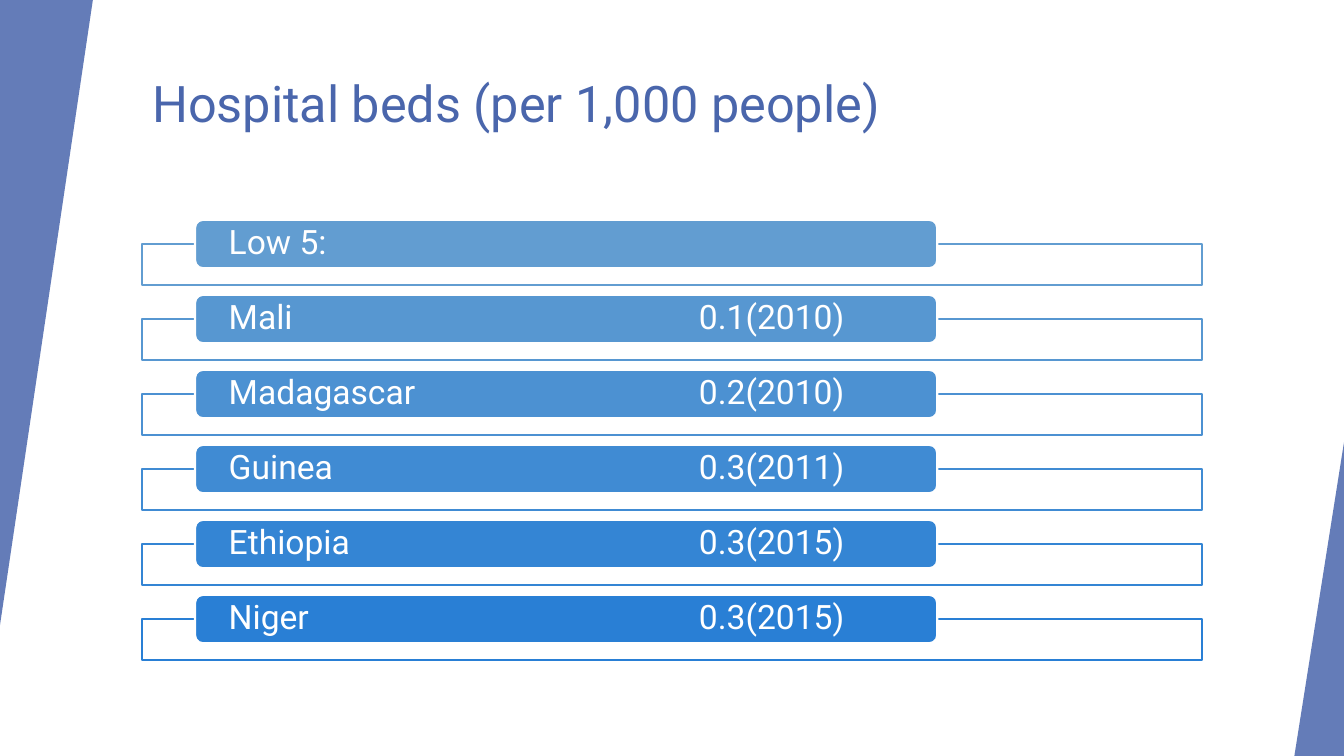
from dataclasses import dataclass

from lxml import etree
from pptx import Presentation
from pptx.dml.color import RGBColor
from pptx.enum.shapes import MSO_SHAPE
from pptx.enum.text import MSO_ANCHOR, PP_ALIGN
from pptx.oxml.ns import qn
from pptx.util import Cm, Pt

TRIANGLE = MSO_SHAPE.ISOSCELES_TRIANGLE
RECTANGLE = MSO_SHAPE.RECTANGLE
ROUNDED = MSO_SHAPE.ROUNDED_RECTANGLE
LEFT = PP_ALIGN.LEFT
TOP = MSO_ANCHOR.TOP
MIDDLE = MSO_ANCHOR.MIDDLE


@dataclass(frozen=True)
class Theme:
    font: str = "Roboto"
    title_size: int = 36
    row_size: int = 24
    line_width: float = 1.5
    accent: str = "4A66AC"
    white: str = "FFFFFF"
    rows: tuple = ("629DD1", "5797D1", "4C91D2", "408BD3", "3485D4", "297FD5")


THEME = Theme()

ROWS = [
    "Low 5:",
    "Mali\t0.1(2010)",
    "Madagascar\t0.2(2010)",
    "Guinea\t0.3(2011)",
    "Ethiopia\t0.3(2015)",
    "Niger\t0.3(2015)",
]


def add_filled_shape(slide, kind, box, fill, opacity=100, line=None):
    """Add a shape without shadow; box is left, top, width, height in cm."""
    shape = slide.shapes.add_shape(kind, *map(Cm, box))
    shape.shadow.inherit = False
    shape.fill.solid()
    shape.fill.fore_color.rgb = RGBColor.from_string(fill)
    if opacity < 100:
        color = shape.fill._xPr.find(qn("a:solidFill"))[0]
        etree.SubElement(color, qn("a:alpha"), val=str(opacity * 1000))
    if line:
        shape.line.color.rgb = RGBColor.from_string(line)
        shape.line.width = Pt(THEME.line_width)
    else:
        shape.line.fill.background()
    return shape


def add_run(paragraph, text, size, color):
    run = paragraph.add_run()
    run.text = text
    run.font.name = THEME.font
    run.font.size = Pt(size)
    run.font.color.rgb = RGBColor.from_string(color)


def add_tab_stop(paragraph, position):
    properties = paragraph._p.get_or_add_pPr()
    tabs = etree.SubElement(properties, qn("a:tabLst"))
    etree.SubElement(tabs, qn("a:tab"), pos=str(Cm(position)), algn="l")


def add_edge_triangle(slide, box, rotation=0):
    triangle = add_filled_shape(slide, TRIANGLE, box, THEME.accent, opacity=85)
    triangle.adjustments[0] = 1
    triangle.rotation = rotation


def set_title(slide, box, text):
    title = slide.shapes.title
    title.left, title.top, title.width, title.height = map(Cm, box)
    frame = title.text_frame
    frame.word_wrap = True
    frame.vertical_anchor = TOP
    paragraph = frame.paragraphs[0]
    paragraph.alignment = LEFT
    add_run(paragraph, text, THEME.title_size, THEME.accent)


def add_row_label(slide, box, text, color):
    bar = add_filled_shape(slide, ROUNDED, box, color, line=THEME.white)
    frame = bar.text_frame
    frame.word_wrap = True
    frame.vertical_anchor = MIDDLE
    frame.margin_left = frame.margin_right = Cm(0.79)
    frame.margin_top = frame.margin_bottom = 0
    paragraph = frame.paragraphs[0]
    paragraph.alignment = LEFT
    paragraph.line_spacing = 0.9
    add_tab_stop(paragraph, 11.85)
    add_run(paragraph, text, THEME.row_size, THEME.white)


def add_bed_list(slide, box, rows):
    """Stack one outlined frame per row, each with a label bar on its top edge."""
    left, top, width, height = box
    bar_height, frame_height, frame_drop = 1.22, 1.04, 0.61
    pitch = (height - frame_drop - frame_height) / (len(rows) - 1)
    for index, (text, color) in enumerate(zip(rows, THEME.rows)):
        row_top = top + index * pitch
        frame_box = (left, row_top + frame_drop, width, frame_height)
        add_filled_shape(slide, RECTANGLE, frame_box, THEME.white, 90, color)
        bar_box = (left + width * 0.05, row_top, width * 0.7, bar_height)
        add_row_label(slide, bar_box, text, color)


def main():
    presentation = Presentation()
    presentation.slide_width = Cm(33.87)
    presentation.slide_height = Cm(19.05)
    slide = presentation.slides.add_slide(presentation.slide_layouts[5])
    set_title(slide, (3.58, 1.7, 28.32, 3.05), "Hospital beds (per 1,000 people)")
    add_edge_triangle(slide, (0, 0, 2.34, 15.75), rotation=180)
    add_edge_triangle(slide, (32.62, 11.15, 1.25, 7.9))
    add_bed_list(slide, (3.58, 5.54, 26.72, 11.1), ROWS)
    presentation.save("out.pptx")


if __name__ == "__main__":
    main()
